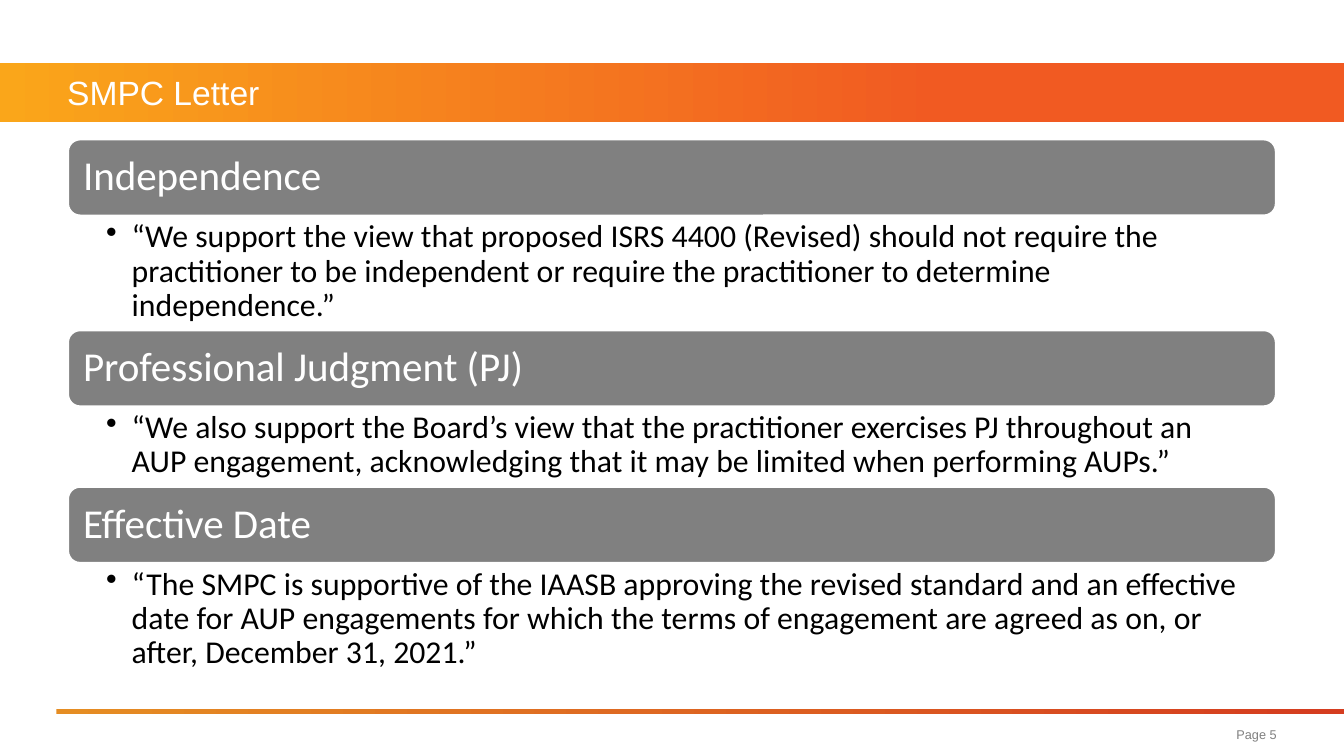
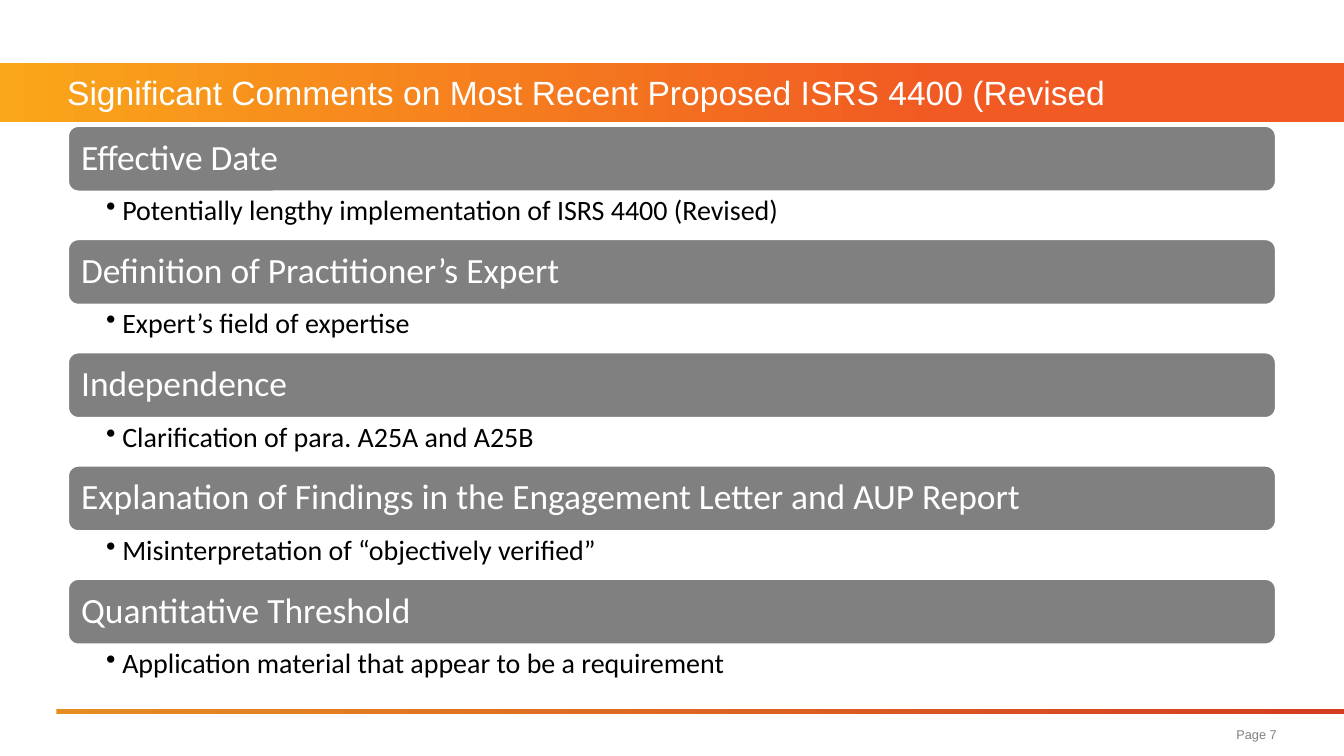
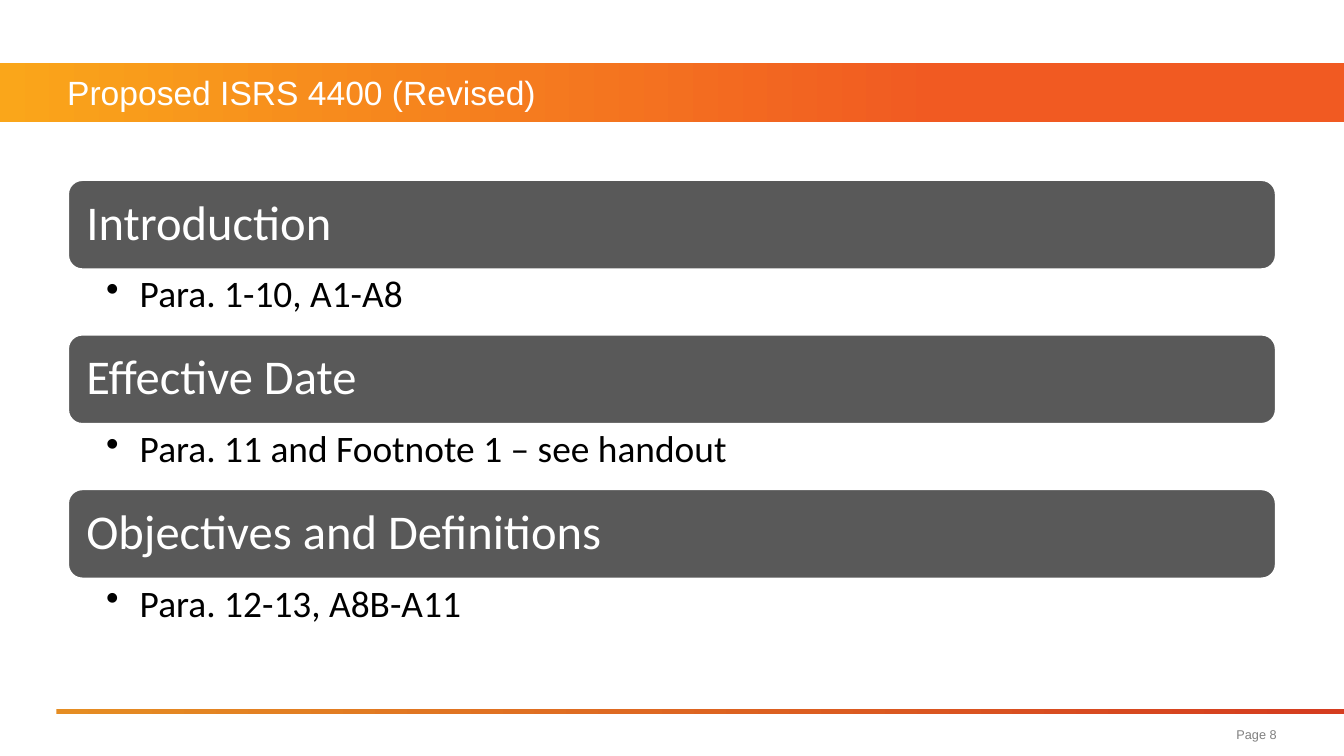
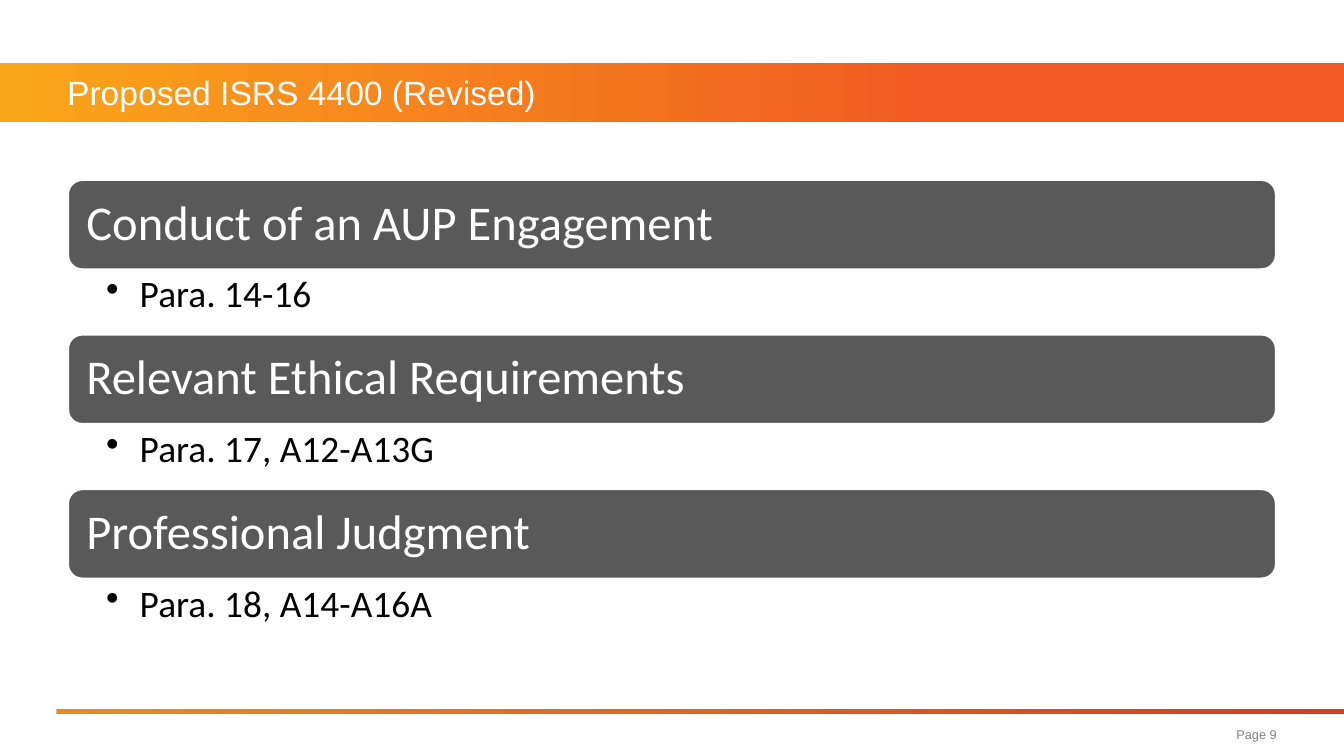
from dataclasses import dataclass

from lxml import etree
from pptx import Presentation
from pptx import util as u
from pptx.dml.color import RGBColor
from pptx.enum import shapes, text
from pptx.oxml import ns

SLIDE_WIDTH = u.Inches(10)
SLIDE_HEIGHT = u.Inches(5.625)
COLUMN = SLIDE_WIDTH / 100
ROW = SLIDE_HEIGHT / 100

WHITE = RGBColor(0xFF, 0xFF, 0xFF)
BLACK = RGBColor(0x00, 0x00, 0x00)
GRAY = RGBColor(0x80, 0x80, 0x80)
CHARCOAL = RGBColor(0x59, 0x59, 0x59)
AMBER = RGBColor(0xFA, 0xA6, 0x1A)
ORANGE = RGBColor(0xF1, 0x5A, 0x22)
OCHRE = RGBColor(0xE5, 0x8D, 0x23)
RED = RGBColor(0xD5, 0x3D, 0x20)

DECK_FONT = "Arial"
TOPIC_FONT = "Calibri"


@dataclass(frozen=True)
class Area:
    left: float
    top: float
    width: float
    height: float

    def emu(self) -> tuple[int, int, int, int]:
        return (
            round(self.left * COLUMN),
            round(self.top * ROW),
            round(self.width * COLUMN),
            round(self.height * ROW),
        )


@dataclass(frozen=True)
class TextStyle:
    font: str
    size: float
    color: RGBColor
    insets: tuple[float, float, float, float] = (0, 0, 0, 0)
    anchor: text.MSO_ANCHOR = text.MSO_ANCHOR.MIDDLE
    align: text.PP_ALIGN = text.PP_ALIGN.LEFT
    line_spacing: float = 1.0
    space_after: float = 0
    bullet_indent: float = 0


@dataclass(frozen=True)
class TopicStyle:
    top: float
    heading_height: float
    fill: RGBColor
    heading: TextStyle
    detail: TextStyle


@dataclass(frozen=True)
class Topic:
    heading: str
    detail: str
    detail_height: float


@dataclass(frozen=True)
class TopicSlide:
    title: str
    page: int
    style: TopicStyle
    topics: list[Topic]


TITLE_BAND = Area(0, 8.33, 100, 7.81)
TITLE_AREA = Area(5, 8.33, 90, 7.81)
FOOTER_RULE = Area(4.2, 93.75, 95.8, 0.67)
PAGE_AREA = Area(64.8, 95, 30.2, 4.4)
TOPIC_LEFT, TOPIC_WIDTH = 5, 90

TITLE_STYLE = TextStyle(DECK_FONT, 18, WHITE)
PAGE_STYLE = TextStyle(DECK_FONT, 6.8, GRAY, align=text.PP_ALIGN.RIGHT)


def heading_style(size: float, inset: float) -> TextStyle:
    return TextStyle(TOPIC_FONT, size, WHITE, (inset,) * 4,
                     line_spacing=0.9, space_after=0.35)


def detail_style(size: float, right: float, edge: float, indent: float) -> TextStyle:
    return TextStyle(TOPIC_FONT, size, BLACK, (2.9, edge, right, edge),
                     anchor=text.MSO_ANCHOR.TOP, line_spacing=0.9,
                     space_after=0.2, bullet_indent=indent)


QUOTES = TopicStyle(18.33, 10.3, GRAY, heading_style(22, 0.9),
                    detail_style(17, 1.7, 0.3, 1.9))
COMMENTS = TopicStyle(16.55, 8.9, GRAY, heading_style(19, 0.8),
                      detail_style(15, 1.5, 0.3, 1.2))
PARAGRAPHS = TopicStyle(23.7, 12.05, CHARCOAL, heading_style(26, 1.1),
                        detail_style(20, 2, 0.4, 2.5))

THREE_LINES = 14.95
TWO_LINES = 10.4
COMMENT_LINE = 6.08
PARAGRAPH_LINE = 8.4

DECK = [
    TopicSlide("SMPC Letter", 5, QUOTES, [
        Topic("Independence",
              "“We support the view that proposed ISRS 4400 (Revised) should not "
              "require the practitioner to be independent or require the "
              "practitioner to determine independence.”", THREE_LINES),
        Topic("Professional Judgment (PJ)",
              "“We also support the Board’s view that the practitioner exercises "
              "PJ throughout an AUP engagement, acknowledging that it may be "
              "limited when performing AUPs.”", TWO_LINES),
        Topic("Effective Date",
              "“The SMPC is supportive of the IAASB approving the revised standard "
              "and an effective date for AUP engagements for which the terms of "
              "engagement are agreed as on, or after, December 31, 2021.”",
              THREE_LINES),
    ]),
    TopicSlide("Significant Comments on Most Recent Proposed ISRS 4400 (Revised",
               7, COMMENTS, [
        Topic("Effective Date",
              "Potentially lengthy implementation of ISRS 4400 (Revised)",
              COMMENT_LINE),
        Topic("Definition of Practitioner’s Expert",
              "Expert’s field of expertise", COMMENT_LINE),
        Topic("Independence", "Clarification of para. A25A and A25B", COMMENT_LINE),
        Topic("Explanation of Findings in the Engagement Letter and AUP Report",
              "Misinterpretation of “objectively verified”", COMMENT_LINE),
        Topic("Quantitative Threshold",
              "Application material that appear to be a requirement", COMMENT_LINE),
    ]),
    TopicSlide("Proposed ISRS 4400 (Revised)", 8, PARAGRAPHS, [
        Topic("Introduction", "Para. 1-10, A1-A8", PARAGRAPH_LINE),
        Topic("Effective Date", "Para. 11 and Footnote 1 – see handout",
              PARAGRAPH_LINE),
        Topic("Objectives and Definitions", "Para. 12-13, A8B-A11", PARAGRAPH_LINE),
    ]),
    TopicSlide("Proposed ISRS 4400 (Revised)", 9, PARAGRAPHS, [
        Topic("Conduct of an AUP Engagement", "Para. 14-16", PARAGRAPH_LINE),
        Topic("Relevant Ethical Requirements", "Para. 17, A12-A13G", PARAGRAPH_LINE),
        Topic("Professional Judgment", "Para. 18, A14-A16A", PARAGRAPH_LINE),
    ]),
]


def add_bullet(paragraph, indent: float) -> None:
    paragraph.level = 1
    properties = paragraph._p.get_or_add_pPr()
    properties.set("marL", str(round(indent * COLUMN)))
    properties.set("indent", str(-round(indent * COLUMN)))
    etree.SubElement(properties, ns.qn("a:buChar")).set("char", "•")


def write(shape, words: str, style: TextStyle) -> None:
    frame = shape.text_frame
    frame.word_wrap = True
    frame.vertical_anchor = style.anchor
    (frame.margin_left, frame.margin_top,
     frame.margin_right, frame.margin_bottom) = (
        round(inset * COLUMN) for inset in style.insets)
    paragraph = frame.paragraphs[0]
    if style.bullet_indent:
        add_bullet(paragraph, style.bullet_indent)
    paragraph.alignment = style.align
    paragraph.line_spacing = style.line_spacing
    paragraph.space_after = u.Pt(style.size * style.space_after)
    run = paragraph.add_run()
    run.text = words
    run.font.name = style.font
    run.font.size = u.Pt(style.size)
    run.font.color.rgb = style.color


def add_text(slide, area: Area, words: str, style: TextStyle) -> None:
    write(slide.shapes.add_textbox(*area.emu()), words, style)


def add_gradient_bar(slide, area: Area, start: RGBColor, end: RGBColor,
                     end_position: float) -> None:
    bar = slide.shapes.add_shape(shapes.MSO_SHAPE.RECTANGLE, *area.emu())
    bar.shadow.inherit = False
    bar.line.fill.background()
    bar.fill.gradient()
    bar.fill.gradient_angle = 0
    for stop, color, position in zip(bar.fill.gradient_stops, (start, end),
                                     (0, end_position)):
        stop.color.rgb = color
        stop.position = position


def add_heading(slide, area: Area, words: str, style: TopicStyle) -> None:
    heading = slide.shapes.add_shape(shapes.MSO_SHAPE.ROUNDED_RECTANGLE, *area.emu())
    heading.shadow.inherit = False
    heading.fill.solid()
    heading.fill.fore_color.rgb = style.fill
    heading.line.color.rgb = WHITE
    heading.line.width = u.Pt(2)
    write(heading, words, style.heading)


def add_topics(slide, topics: list[Topic], style: TopicStyle) -> None:
    top = style.top
    for topic in topics:
        add_heading(slide, Area(TOPIC_LEFT, top, TOPIC_WIDTH, style.heading_height),
                    topic.heading, style)
        top += style.heading_height
        add_text(slide, Area(TOPIC_LEFT, top, TOPIC_WIDTH, topic.detail_height),
                 topic.detail, style.detail)
        top += topic.detail_height


def add_slide(deck, content: TopicSlide) -> None:
    slide = deck.slides.add_slide(deck.slide_layouts[6])
    add_gradient_bar(slide, TITLE_BAND, AMBER, ORANGE, 0.7)
    add_gradient_bar(slide, FOOTER_RULE, OCHRE, RED, 0.99)
    add_text(slide, TITLE_AREA, content.title, TITLE_STYLE)
    add_topics(slide, content.topics, content.style)
    add_text(slide, PAGE_AREA, f"Page {content.page}", PAGE_STYLE)


def main() -> None:
    deck = Presentation()
    deck.slide_width = SLIDE_WIDTH
    deck.slide_height = SLIDE_HEIGHT
    for content in DECK:
        add_slide(deck, content)
    deck.save("out.pptx")


if __name__ == "__main__":
    main()
